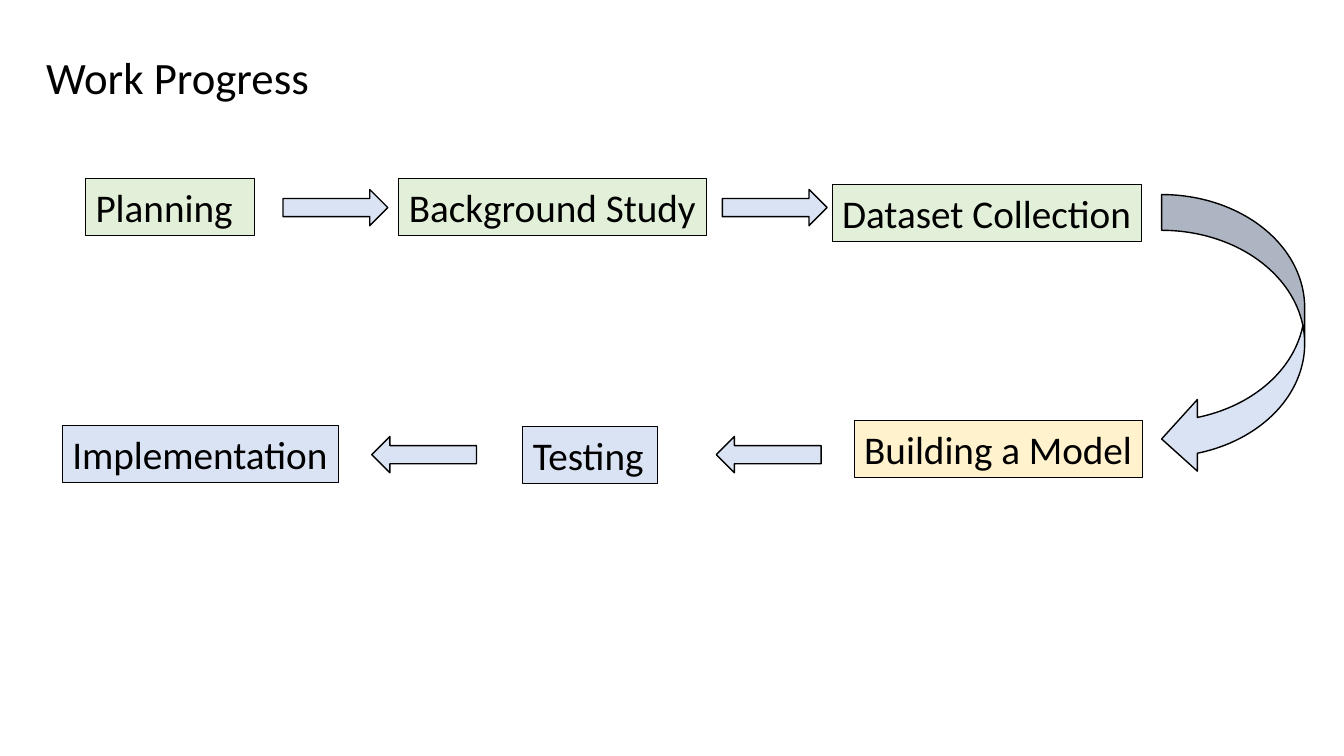
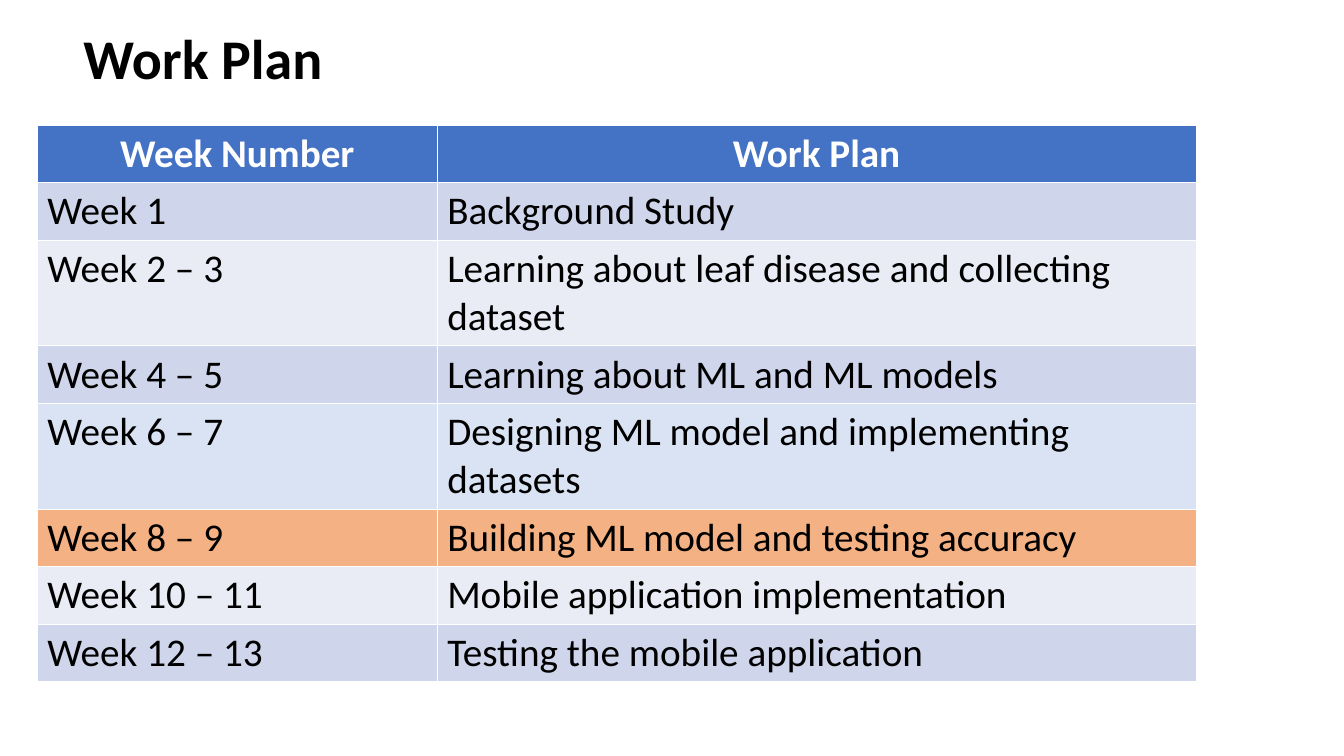
"""Build a work progress flow and a weekly work plan."""
from dataclasses import dataclass

from lxml import etree
from pptx import Presentation
from pptx.dml.color import RGBColor
from pptx.enum.shapes import MSO_SHAPE
from pptx.enum.text import MSO_ANCHOR, MSO_AUTO_SIZE, PP_ALIGN
from pptx.oxml.ns import qn
from pptx.presentation import Presentation as Deck
from pptx.shapes.autoshape import Shape
from pptx.slide import Slide
from pptx.table import _Cell as Cell
from pptx.text.text import TextFrame
from pptx.util import Emu, Pt

PX = 9144
BLANK_LAYOUT = 6
RECTANGLE = MSO_SHAPE.RECTANGLE
RIGHT_ARROW = MSO_SHAPE.RIGHT_ARROW
CURVED_ARROW = MSO_SHAPE.CURVED_LEFT_ARROW
TOP, BOTTOM = MSO_ANCHOR.TOP, MSO_ANCHOR.BOTTOM
LEFT, CENTER = PP_ALIGN.LEFT, PP_ALIGN.CENTER
FIT_SHAPE = MSO_AUTO_SIZE.SHAPE_TO_FIT_TEXT


@dataclass(frozen=True)
class Theme:
    """Colours, font, type sizes and line widths."""

    font: str = "Calibri"
    black: str = "000000"
    white: str = "FFFFFF"
    green: str = "E2F0D9"
    yellow: str = "FFF2CC"
    blue: str = "DAE3F3"
    header: str = "4472C4"
    dark_band: str = "CFD5EA"
    light_band: str = "E9EBF5"
    orange: str = "F4B183"
    progress_title: int = 32
    plan_title: int = 40
    body: int = 28
    box_line: float = 0.75
    arrow_line: float = 1
    grid_line: float = 0.45
    header_line: float = 1.47


THEME = Theme()


@dataclass(frozen=True)
class Area:
    """Position and size in px."""

    left: int
    top: int
    width: int
    height: int

    def emu(self) -> tuple[Emu, Emu, Emu, Emu]:
        """Return the four lengths in EMU."""
        return px(self.left), px(self.top), px(self.width), px(self.height)


@dataclass(frozen=True)
class Step:
    """A labelled box in the flow."""

    label: str
    left: int
    top: int
    width: int
    fill: str
    wrap: bool = False


@dataclass(frozen=True)
class Arrow:
    """A block arrow in the flow."""

    area: Area
    rotation: int = 0
    kind: MSO_SHAPE = RIGHT_ARROW


@dataclass(frozen=True)
class PlanRow:
    """A row of the work plan table."""

    weeks: str
    task: str
    fill: str
    height: int = 57


STEP_HEIGHT = 57
STEPS = (
    Step("Planning", 85, 177, 168, THEME.green, wrap=True),
    Step("Background Study", 396, 177, 305, THEME.green),
    Step("Dataset Collection", 826, 183, 307, THEME.green),
    Step("Building a Model", 848, 417, 286, THEME.yellow),
    Step("Testing", 519, 423, 134, THEME.blue),
    Step("Implementation", 62, 422, 274, THEME.blue),
)
ARROWS = (
    Arrow(Area(281, 188, 104, 36)),
    Arrow(Area(717, 188, 104, 36)),
    Arrow(Area(711, 433, 104, 36), rotation=180),
    Arrow(Area(369, 433, 104, 36), rotation=180),
    Arrow(Area(1153, 193, 142, 278), kind=CURVED_ARROW),
)
PLAN_AREA = Area(37, 124, 1150, 547)
PLAN_COLUMNS = (397, 753)
PLAN_ROWS = (
    PlanRow("Week Number", "Work Plan", THEME.header),
    PlanRow("Week 1", "Background Study", THEME.dark_band),
    PlanRow("Week 2 – 3", "Learning about leaf disease and collecting dataset",
            THEME.light_band, height=105),
    PlanRow("Week 4 – 5", "Learning about ML and ML models", THEME.dark_band),
    PlanRow("Week 6 – 7", "Designing ML model and implementing datasets",
            THEME.blue, height=105),
    PlanRow("Week 8 – 9", "Building ML model and testing accuracy", THEME.orange),
    PlanRow("Week 10 – 11", "Mobile application implementation", THEME.light_band),
    PlanRow("Week 12 – 13", "Testing the mobile application", THEME.dark_band),
)


def px(length: int) -> Emu:
    """Turn px into EMU."""
    return Emu(length * PX)


def write_text(frame: TextFrame, text: str, *, size: int = THEME.body,
               color: str = THEME.black, bold: bool = False,
               align: PP_ALIGN = LEFT, spacing: float = 1.0) -> None:
    """Fill a text frame with one formatted paragraph."""
    paragraph = frame.paragraphs[0]
    paragraph.alignment = align
    paragraph.line_spacing = spacing
    run = paragraph.add_run()
    run.text = text
    run.font.name = THEME.font
    run.font.size = Pt(size)
    run.font.bold = bold
    run.font.color.rgb = RGBColor.from_string(color)


def add_title(slide: Slide, text: str, area: Area, size: int,
              bold: bool = False) -> None:
    """Add a slide title that rests on the bottom of its area."""
    frame = slide.shapes.add_textbox(*area.emu()).text_frame
    frame.word_wrap = True
    frame.vertical_anchor = BOTTOM
    write_text(frame, text, size=size, bold=bold, spacing=0.9)


def add_block(slide: Slide, kind: MSO_SHAPE, area: Area, fill: str,
              line_width: float) -> Shape:
    """Add a filled and outlined preset shape."""
    shape = slide.shapes.add_shape(kind, *area.emu())
    shape.shadow.inherit = False
    shape.fill.solid()
    shape.fill.fore_color.rgb = RGBColor.from_string(fill)
    shape.line.color.rgb = RGBColor.from_string(THEME.black)
    shape.line.width = Pt(line_width)
    return shape


def add_step(slide: Slide, step: Step) -> None:
    """Add a labelled flow box."""
    area = Area(step.left, step.top, step.width, STEP_HEIGHT)
    shape = add_block(slide, RECTANGLE, area, step.fill, THEME.box_line)
    frame = shape.text_frame
    frame.word_wrap = step.wrap
    frame.auto_size = FIT_SHAPE
    frame.vertical_anchor = TOP
    write_text(frame, step.label)


def add_arrow(slide: Slide, arrow: Arrow) -> None:
    """Add a flow arrow."""
    shape = add_block(slide, arrow.kind, arrow.area, THEME.blue, THEME.arrow_line)
    shape.rotation = arrow.rotation


def set_borders(cell: Cell, top: float, bottom: float) -> None:
    """Draw the four borders of a table cell."""
    properties = cell._tc.get_or_add_tcPr()
    widths = {"a:lnL": THEME.grid_line, "a:lnR": THEME.grid_line,
              "a:lnT": top, "a:lnB": bottom}
    for index, (tag, width) in enumerate(widths.items()):
        border = etree.Element(qn(tag), w=str(int(Pt(width))))
        fill = etree.SubElement(border, qn("a:solidFill"))
        etree.SubElement(fill, qn("a:srgbClr"), val=THEME.white)
        properties.insert(index, border)


def add_plan_table(slide: Slide) -> None:
    """Add the work plan table."""
    table = slide.shapes.add_table(
        len(PLAN_ROWS), len(PLAN_COLUMNS), *PLAN_AREA.emu()).table
    for column, width in zip(table.columns, PLAN_COLUMNS):
        column.width = px(width)
    for index, row in enumerate(PLAN_ROWS):
        table.rows[index].height = px(row.height)
        header = index == 0
        top = THEME.header_line if index == 1 else THEME.grid_line
        bottom = THEME.header_line if header else THEME.grid_line
        for cell, text in zip(table.rows[index].cells, (row.weeks, row.task)):
            cell.fill.solid()
            cell.fill.fore_color.rgb = RGBColor.from_string(row.fill)
            set_borders(cell, top, bottom)
            write_text(cell.text_frame, text, bold=header,
                       color=THEME.white if header else THEME.black,
                       align=CENTER if header else LEFT)


def add_slide(presentation: Deck) -> Slide:
    """Add a blank slide."""
    return presentation.slides.add_slide(presentation.slide_layouts[BLANK_LAYOUT])


def build_progress(presentation: Deck) -> None:
    """Build the work progress slide."""
    slide = add_slide(presentation)
    add_title(slide, "Work Progress", Area(36, 21, 444, 87), THEME.progress_title)
    for step in STEPS:
        add_step(slide, step)
    for arrow in ARROWS:
        add_arrow(slide, arrow)


def build_plan(presentation: Deck) -> None:
    """Build the work plan slide."""
    slide = add_slide(presentation)
    add_title(slide, "Work Plan", Area(73, 26, 296, 70), THEME.plan_title, bold=True)
    add_plan_table(slide)


def main() -> None:
    """Build and save the presentation."""
    presentation = Presentation()
    presentation.slide_width = px(1334)
    presentation.slide_height = px(750)
    build_progress(presentation)
    build_plan(presentation)
    presentation.save("out.pptx")


if __name__ == "__main__":
    main()
